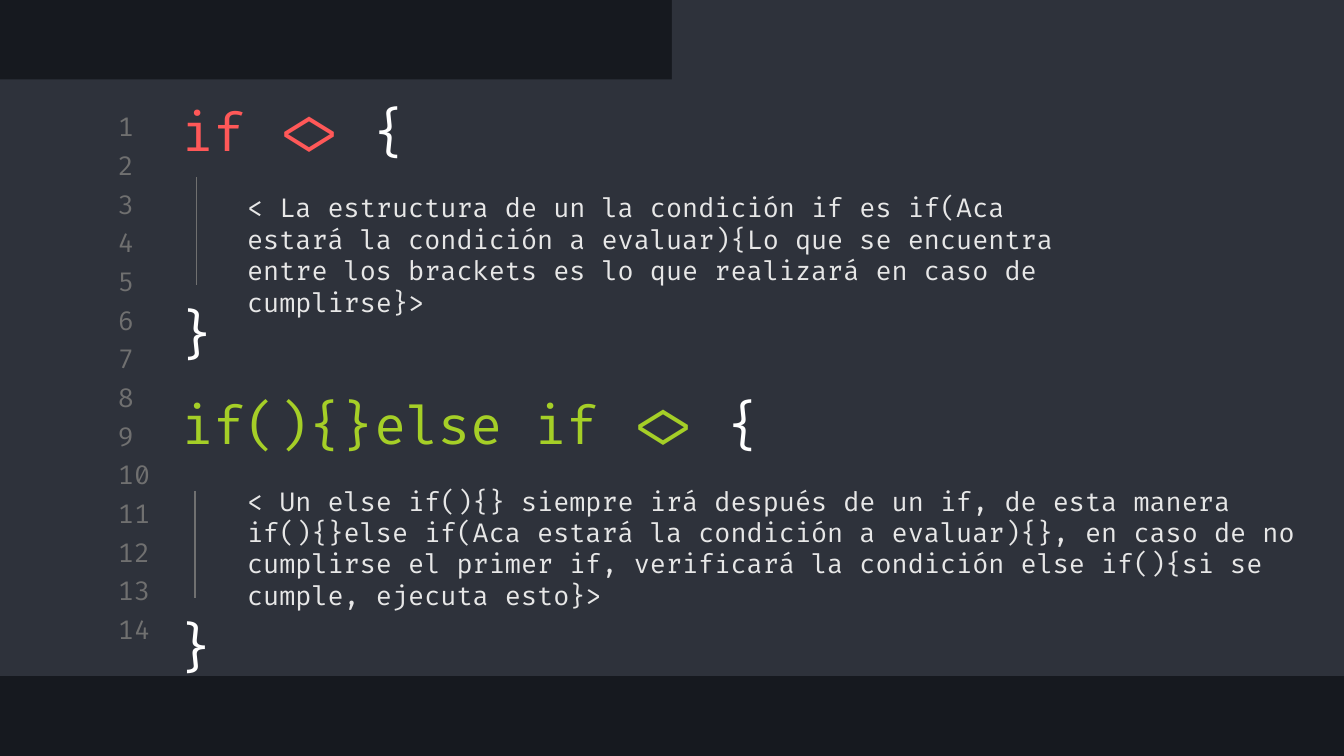
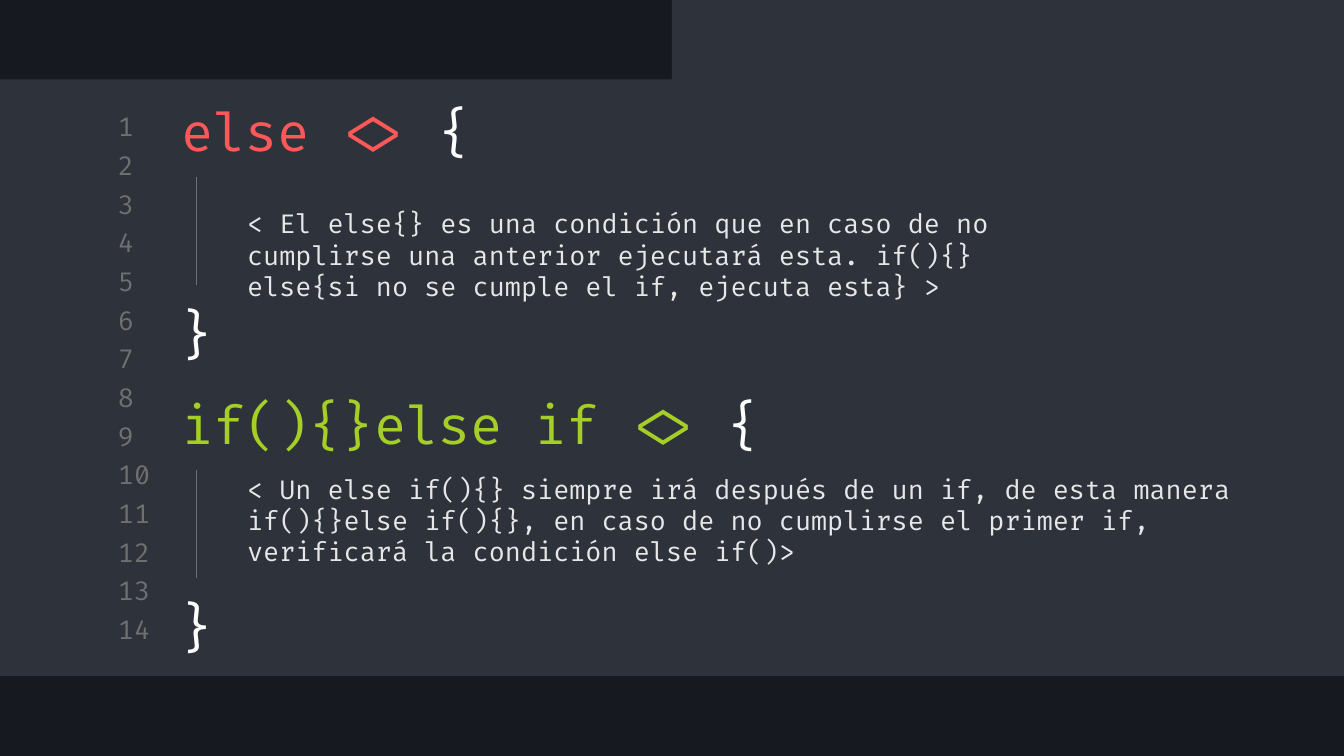
from dataclasses import dataclass

from lxml import etree
from pptx import Presentation
from pptx.dml.color import RGBColor
from pptx.enum.shapes import MSO_CONNECTOR, MSO_SHAPE
from pptx.enum.text import MSO_ANCHOR, PP_ALIGN
from pptx.oxml.ns import qn
from pptx.util import Inches, Pt

RECT = MSO_SHAPE.RECTANGLE
STRAIGHT = MSO_CONNECTOR.STRAIGHT
TOP, MIDDLE = MSO_ANCHOR.TOP, MSO_ANCHOR.MIDDLE
LEFT, CENTER = PP_ALIGN.LEFT, PP_ALIGN.CENTER


@dataclass(frozen=True)
class Theme:
    font: str = "Fira Code"
    frame: RGBColor = RGBColor.from_string("16191F")
    editor: RGBColor = RGBColor.from_string("2E323B")
    muted: RGBColor = RGBColor.from_string("707070")
    body: RGBColor = RGBColor.from_string("E7E7E7")
    brace: RGBColor = RGBColor.from_string("FFFFFF")
    red: RGBColor = RGBColor.from_string("FF5858")
    green: RGBColor = RGBColor.from_string("A5CF27")
    code_size: int = 28
    text_size: int = 14


theme = Theme()

EDITOR_PANELS = [(0, 0.59, 10, 4.44), (5, 0, 5, 0.65)]
LINE_COUNT = 14
FIRST_LINE, LAST_LINE = 0.82, 4.56
LINE_STEP = (LAST_LINE - FIRST_LINE) / (LINE_COUNT - 1)
GUIDE_LENGTH = 0.8

ELSE_IF = "if(){}else if <> "

# Each block: heading, colour, heading box, text, text box, top of the guide (x, y)
SLIDES = [
    [
        ("if <> ", theme.red, (1.25, 0.68, 4.44, 0.58),
         "< La estructura de un la condición if es if(Aca estará la condición a "
         "evaluar){Lo que se encuentra entre los brackets es lo que realizará en "
         "caso de cumplirse}>",
         (1.74, 1.26, 6.33, 1.27), (1.46, 1.32)),
        (ELSE_IF, theme.green, (1.25, 2.86, 5.49, 0.58),
         "< Un else if(){} siempre irá después de un if, de esta manera "
         "if(){}else if(Aca estará la condición a evaluar){}, en caso de no "
         "cumplirse el primer if, verificará la condición else if(){si se cumple, "
         "ejecuta esto}>",
         (1.74, 3.44, 8, 1.27), (1.45, 3.65)),
    ],
    [
        ("else <> ", theme.red, (1.25, 0.68, 4.44, 0.58),
         "< El else{} es una condición que en caso de no cumplirse una anterior "
         "ejecutará esta. if(){}else{si no se cumple el if, ejecuta esta} >",
         (1.74, 1.26, 6.33, 1.27), (1.46, 1.32)),
        (ELSE_IF, theme.green, (1.25, 2.86, 5.49, 0.58),
         "< Un else if(){} siempre irá después de un if, de esta manera "
         "if(){}else if(){}, en caso de no cumplirse el primer if, verificará la "
         "condición else if()>",
         (1.74, 3.44, 8, 0.86), (1.46, 3.5)),
    ],
]


def add_text(s, box, runs, size, anchor=MIDDLE, align=LEFT):
    """Add a one-paragraph text box; runs is a list of (text, colour)."""
    tf = s.shapes.add_textbox(*map(Inches, box)).text_frame
    tf.word_wrap = True
    tf.vertical_anchor = anchor
    tf.margin_left = tf.margin_right = Inches(0.1)
    tf.margin_top = tf.margin_bottom = Inches(0.1)
    p = tf.paragraphs[0]
    p.alignment = align
    for text, color in runs:
        r = p.add_run()
        r.text = text
        r.font.name = theme.font
        r.font.size = Pt(size)
        r.font.color.rgb = color


prs = Presentation()
prs.slide_width = Inches(10)
prs.slide_height = prs.slide_width * 9 // 16

for blocks in SLIDES:
    s = prs.slides.add_slide(prs.slide_layouts[6])
    s.background.fill.solid()
    s.background.fill.fore_color.rgb = theme.frame

    for box in EDITOR_PANELS:
        panel = s.shapes.add_shape(RECT, *map(Inches, box))
        panel.shadow.inherit = False
        panel.fill.solid()
        panel.fill.fore_color.rgb = theme.editor
        panel.line.fill.background()

    for i in range(LINE_COUNT):
        add_text(s, (0.78, FIRST_LINE + i * LINE_STEP, 0.47, 0.24),
                 [(str(i + 1), theme.muted)], theme.text_size)

    for heading, color, heading_box, text, text_box, (x, y) in blocks:
        add_text(s, text_box, [(text, theme.body)], theme.text_size)
        add_text(s, heading_box, [(heading, color), ("{", theme.brace)],
                 theme.code_size)

        guide = s.shapes.add_connector(STRAIGHT, Inches(x), Inches(y),
                                       Inches(x), Inches(y + GUIDE_LENGTH))
        guide.line.color.rgb = theme.muted
        guide.line.width = Pt(0.75)
        etree.SubElement(guide._element.spPr, qn("a:effectLst"))

        add_text(s, (x - 0.27, y + GUIDE_LENGTH + 0.02, 0.55, 0.67),
                 [("}", theme.brace)], theme.code_size, TOP, CENTER)

prs.save("out.pptx")
